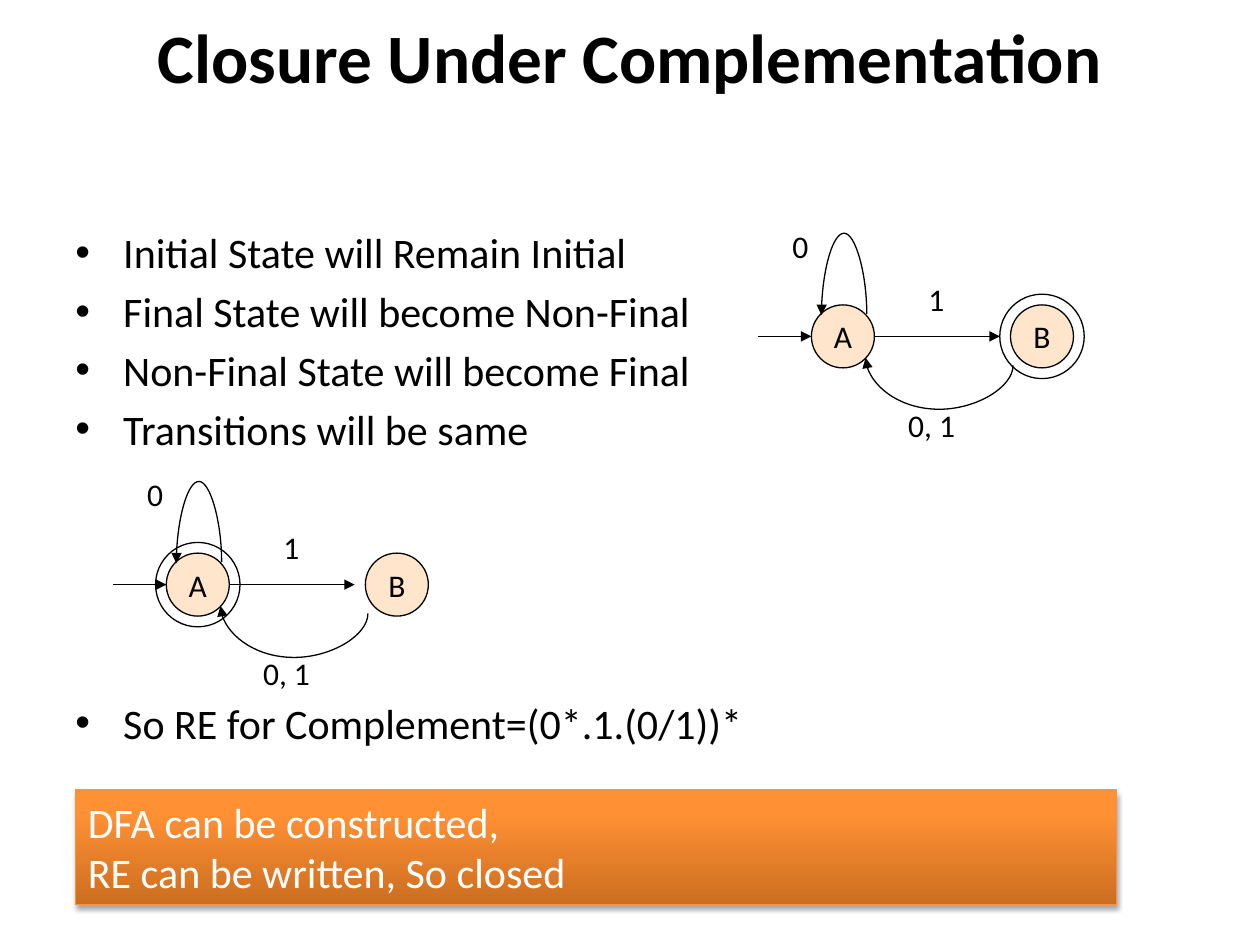
from dataclasses import dataclass

from lxml import etree
from pptx import Presentation
from pptx.dml.color import RGBColor
from pptx.enum.shapes import MSO_CONNECTOR, MSO_SHAPE
from pptx.enum.text import MSO_ANCHOR, MSO_AUTO_SIZE, PP_ALIGN
from pptx.oxml import parse_xml
from pptx.oxml.ns import nsdecls, qn
from pptx.util import Inches, Pt

OVAL, RECT = MSO_SHAPE.OVAL, MSO_SHAPE.RECTANGLE
LINE, CURVE = MSO_CONNECTOR.STRAIGHT, MSO_CONNECTOR.CURVE
MID, TOP = MSO_ANCHOR.MIDDLE, MSO_ANCHOR.TOP
LEFT, CENTER = PP_ALIGN.LEFT, PP_ALIGN.CENTER
FONT = "Calibri"
COLORS = {
    "ink": "000000", "paper": "FFFFFF", "state": "FFCC99", "edge": "F69240",
    "low": "CC6E20", "mid": "FF9034", "high": "FF9136",
}
STATE, RING, GAP = 0.5, 0.67, 1.58  # state size, final ring size, A to B


@dataclass
class Dfa:
    x: float  # centre of state A
    y: float
    final: str


@dataclass
class Label:
    text: str
    dx: float  # offset of the box from the centre of state A
    dy: float
    width: float


DFAS = [Dfa(6.69, 2.67, "B"), Dfa(1.57, 4.64, "A")]
LABELS = [
    Label("0", -0.5, -0.92, 0.38),
    Label("1", 0.58, -0.5, 0.38),
    Label("0, 1", 0.42, 0.5, 0.77),
]
POINTS = [  # text, space before in points
    ("Initial State will Remain Initial", 4.8),
    ("Final State will become Non-Final", 4.8),
    ("Non-Final State will become Final", 4.8),
    ("Transitions will be same", 4.8),
    ("So RE for Complement=(0*.1.(0/1))*", 139.2),
]
CLOSING = ["DFA can be constructed,", "RE can be written, So closed"]


def color(name: str) -> RGBColor:
    return RGBColor.from_string(COLORS[name])


def add_run(para, text: str, size: float, ink: str = "ink", bold: bool = False) -> None:
    run = para.add_run()
    run.text = text
    font = run.font
    font.name, font.size, font.bold = FONT, Pt(size), bold
    font.color.rgb = color(ink)


def fill_text(shape, lines: list[str], size: float, ink: str = "ink",
              align=LEFT, anchor=TOP, wrap: bool = True) -> None:
    frame = shape.text_frame
    frame.word_wrap, frame.vertical_anchor = wrap, anchor
    for i, text in enumerate(lines):
        para = frame.add_paragraph() if i else frame.paragraphs[0]
        para.alignment = align
        add_run(para, text, size, ink)


def add_box(slide, x: float, y: float, w: float, h: float):
    return slide.shapes.add_textbox(Inches(x), Inches(y), Inches(w), Inches(h))


def add_oval(slide, x: float, y: float, size: float):
    half = size / 2
    oval = slide.shapes.add_shape(
        OVAL, Inches(x - half), Inches(y - half), Inches(size), Inches(size))
    oval.shadow.inherit = False
    oval.fill.background()
    oval.line.color.rgb = color("ink")
    oval.line.width = Pt(0.75)
    return oval


def add_state(slide, x: float, y: float, name: str) -> None:
    state = add_oval(slide, x, y, STATE)
    state.fill.solid()
    state.fill.fore_color.rgb = color("state")
    tone = state.fill._xPr.find(".//" + qn("a:srgbClr"))
    etree.SubElement(tone, qn("a:alpha")).set("val", "50000")
    fill_text(state, [name], 18, align=CENTER, anchor=MID, wrap=False)


def add_arrow(slide, kind, x1: float, y1: float, x2: float, y2: float):
    arrow = slide.shapes.add_connector(
        kind, Inches(x1), Inches(y1), Inches(x2), Inches(y2))
    arrow.line.color.rgb = color("ink")
    arrow.line.width = Pt(0.75)
    etree.SubElement(arrow.line._get_or_add_ln(), qn("a:tailEnd")).set("type", "triangle")
    etree.SubElement(arrow._element.spPr, qn("a:effectLst"))
    return arrow


def add_curve(slide, x1: float, y1: float, x2: float, y2: float, depth: float) -> None:
    """Arrow from right to left that bulges by depth beyond its start."""
    arrow = add_arrow(slide, CURVE, x1, y1, x2, y2)
    w, h = abs(y2 - y1), abs(x2 - x1)
    arrow.left, arrow.top = Inches((x1 + x2 - w) / 2), Inches((y1 + y2 - h) / 2)
    arrow.width, arrow.height = Inches(w), Inches(h)
    props = arrow._element.spPr
    turn = props.find(qn("a:xfrm"))
    turn.set("rot", "16200000")
    turn.set("flipH", "1" if y1 < y2 else "0")
    turn.set("flipV", "1")
    guide = etree.SubElement(props.find(".//" + qn("a:avLst")), qn("a:gd"))
    guide.set("name", "adj1")
    guide.set("fmla", f"val {round(-depth / w * 100000)}")


def draw_dfa(slide, dfa: Dfa) -> None:
    x, y = dfa.x, dfa.y
    places = {"A": x, "B": x + GAP}
    for name, mid in places.items():
        add_state(slide, mid, y, name)
    add_oval(slide, places[dfa.final], y, RING)
    add_arrow(slide, LINE, x - 0.67, y, x - STATE / 2, y)
    add_arrow(slide, LINE, x + STATE / 2, y, x + GAP - RING / 2, y)
    add_curve(slide, x + 0.19, y - 0.18, x - 0.17, y - 0.17, 0.65)
    add_curve(slide, x + 1.35, y + 0.23, x + 0.18, y + 0.17, 0.35)
    for label in LABELS:
        box = add_box(slide, x + label.dx, y + label.dy, label.width, 0.5)
        fill_text(box, [label.text], 18)


def draw_points(slide) -> None:
    frame = add_box(slide, 0.5, 1.75, 9, 5.39).text_frame
    frame.word_wrap = True
    for i, (text, space) in enumerate(POINTS):
        para = frame.add_paragraph() if i else frame.paragraphs[0]
        para.space_before = Pt(space)
        add_run(para, text, 24)
        props = para._p.get_or_add_pPr()
        props.set("marL", str(Inches(0.38)))
        props.set("indent", str(Inches(-0.38)))
        etree.SubElement(props, qn("a:buFont")).set("typeface", "Arial")
        etree.SubElement(props, qn("a:buChar")).set("char", "•")


def draw_closing(slide) -> None:
    bar = slide.shapes.add_shape(RECT, Inches(0.6), Inches(6.27), Inches(8.26), Inches(0.91))
    bar.line.color.rgb = color("edge")
    bar.line.width = Pt(0.75)
    stops = "".join(
        f'<a:gs pos="{pos}000"><a:srgbClr val="{COLORS[name]}"/></a:gs>'
        for pos, name in ((0, "low"), (80, "mid"), (100, "high")))
    props = bar._element.spPr
    props.find(qn("a:prstGeom")).addnext(parse_xml(
        f'<a:gradFill {nsdecls("a")} rotWithShape="1"><a:gsLst>{stops}</a:gsLst>'
        '<a:lin ang="16200000" scaled="0"/></a:gradFill>'))
    props.append(parse_xml(
        f'<a:effectLst {nsdecls("a")}><a:outerShdw blurRad="{Pt(3.1)}" dist="{Pt(1.8)}" '
        f'dir="5400000" rotWithShape="0"><a:srgbClr val="{COLORS["ink"]}">'
        '<a:alpha val="35000"/></a:srgbClr></a:outerShdw></a:effectLst>'))
    fill_text(bar, CLOSING, 24, "paper")


def main() -> None:
    deck = Presentation()
    deck.slide_width, deck.slide_height = Inches(10), Inches(7.5)
    slide = deck.slides.add_slide(deck.slide_layouts[5])

    # Title
    title = slide.shapes.title
    title.left, title.top = Inches(0), Inches(0.13)
    title.width, title.height = Inches(10), Inches(0.63)
    frame = title.text_frame
    frame.auto_size, frame.vertical_anchor = MSO_AUTO_SIZE.NONE, MID
    frame.paragraphs[0].alignment = CENTER
    add_run(frame.paragraphs[0], "Closure Under Complementation", 39.6, bold=True)

    # Rules, automata and conclusion
    draw_points(slide)
    for dfa in DFAS:
        draw_dfa(slide, dfa)
    draw_closing(slide)
    deck.save("out.pptx")


if __name__ == "__main__":
    main()
